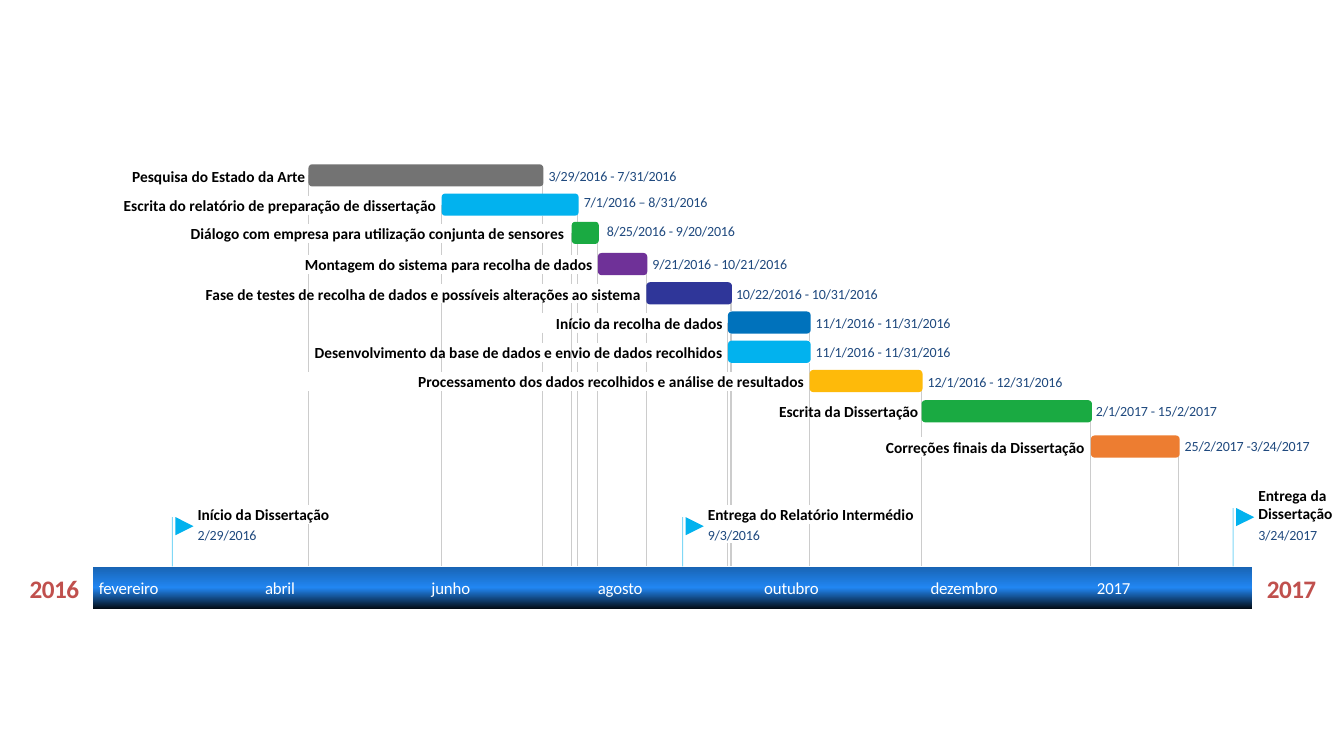
from collections import namedtuple

from lxml.etree import SubElement
from pptx import Presentation
from pptx.dml.color import RGBColor
from pptx.enum.shapes import MSO_CONNECTOR, MSO_SHAPE
from pptx.enum.text import MSO_ANCHOR, PP_ALIGN
from pptx.oxml.ns import qn
from pptx.util import Inches, Pt

BLACK, WHITE, GRAY = "000000", "FFFFFF", "CCCCCC"
NAVY, RED, CYAN = "1F497E", "C0504D", "02B2EE"
GREEN = "1AAA42"
BAR_HEIGHT, LABEL_HEIGHT, DATE_HEIGHT = 0.22, 0.19, 0.17
AXIS_TOP = 5.62

Task = namedtuple("Task", "label label_left label_right left top width color "
                          "dates dates_left dates_top crossed_by")
Milestone = namedtuple("Milestone", "label date left flag_top label_top width height")

# crossed_by lists the guides that run behind a label without a break
TASKS = [
    Task("Pesquisa do Estado da Arte", 1.31, 3.03, 3.06, 1.63, 2.33, "737373",
         "3/29/2016 - 7/31/2016", 5.44, 1.66, []),
    Task("Escrita do relatório de preparação de dissertação", 0.99, 4.33, 4.38, 1.92, 1.36, CYAN,
         "7/1/2016 – 8/31/2016", 5.79, 1.92, []),
    Task("Diálogo com empresa para utilização conjunta de sensores", 1.6, 5.6, 5.67, 2.2, 0.27, GREEN,
         "8/25/2016 - 9/20/2016", 6.02, 2.21, []),
    Task("Montagem do sistema para recolha de dados", 2.61, 5.88, 5.93, 2.51, 0.49, "6F3198",
         "9/21/2016 - 10/21/2016", 6.47, 2.53, []),
    Task("Fase de testes de recolha de dados e possíveis alterações ao sistema",
         1.74, 6.36, 6.41, 2.8, 0.85, "2F3699",
         "10/22/2016 - 10/31/2016", 7.3, 2.83, [3.06]),
    Task("Início da recolha de dados", 5.17, 7.17, 7.22, 3.09, 0.82, "0072BC",
         "11/1/2016 - 11/31/2016", 8.09, 3.12, [5.67]),
    Task("Desenvolvimento da base de dados e envio de dados recolhidos",
         2.99, 7.17, 7.22, 3.38, 0.82, CYAN,
         "11/1/2016 - 11/31/2016", 8.09, 3.41, [3.06, 4.38, 5.67]),
    Task("Processamento dos dados recolhidos e análise de resultados",
         3.05, 7.98, 8.03, 3.67, 1.12, "FEBA0A",
         "12/1/2016 - 12/31/2016", 9.2, 3.7, []),
    Task("Escrita da Dissertação", 7.72, 9.11, 9.14, 3.97, 1.69, GREEN,
         "2/1/2017 - 15/2/2017", 10.87, 3.99, [8.03]),
    Task("Correções finais da Dissertação", 8.79, 10.76, 10.82, 4.32, 0.88, "ED7D31",
         "25/2/2017 -3/24/2017", 11.75, 4.34, []),
]
MILESTONES = [
    Milestone("Início da Dissertação", "2/29/2016", 1.71, 5.13, 5.01, 1.31, 0.19),
    Milestone("Entrega do Relatório Intermédio", "9/3/2016", 6.77, 5.13, 5.01, 2.04, 0.19),
    Milestone("Entrega da Dissertação", "3/24/2017", 12.23, 5.04, 4.82, 0.74, 0.37),
]
MONTHS = ["fevereiro", "abril", "junho", "agosto", "outubro", "dezembro", "2017"]


def rgb(color):
    return RGBColor.from_string(color)


class Timeline:
    font = "Calibri"

    def __init__(self, page):
        self.page = page

    def line(self, x, top, bottom, color, opacity=100):
        line = self.page.shapes.add_connector(
            MSO_CONNECTOR.STRAIGHT, Inches(x), Inches(top), Inches(x), Inches(bottom))
        line.line.width = Pt(0.75)
        line.line.color.rgb = rgb(color)
        properties = line._element.spPr
        SubElement(properties, qn("a:effectLst"))
        if opacity < 100:
            tint = properties.find(".//" + qn("a:srgbClr"))
            SubElement(tint, qn("a:alpha")).set("val", str(opacity * 1000))

    def text(self, words, left, top, width, height, size, color,
             bold=False, align=PP_ALIGN.LEFT, spacing=0):
        box = self.page.shapes.add_textbox(
            Inches(left), Inches(top), Inches(width), Inches(height))
        frame = box.text_frame
        frame.margin_left = frame.margin_right = frame.margin_top = frame.margin_bottom = 0
        frame.word_wrap = True
        frame.vertical_anchor = MSO_ANCHOR.MIDDLE
        frame.text = words
        para = frame.paragraphs[0]
        para.alignment = align
        font = para.runs[0].font
        font.name, font.size, font.bold = self.font, Pt(size), bold
        font.color.rgb = rgb(color)
        if spacing:
            para.runs[0]._r.get_or_add_rPr().set("spc", str(spacing))

    def label(self, words, left, top, width, height=LABEL_HEIGHT, align=PP_ALIGN.LEFT):
        self.text(words, left, top, width, height, 11, BLACK, True, align)

    def date(self, words, left, top):
        self.text(words, left, top, 1.55, DATE_HEIGHT, 10, NAVY, spacing=-10)

    def shape(self, kind, left, top, width, height, color):
        shape = self.page.shapes.add_shape(
            kind, Inches(left), Inches(top), Inches(width), Inches(height))
        shape.shadow.inherit = False
        shape.fill.solid()
        shape.fill.fore_color.rgb = rgb(color)
        shape.line.fill.background()
        return shape

    def axis(self, left, top, width, height, stops):
        band = self.shape(MSO_SHAPE.RECTANGLE, left, top, width, height, WHITE)
        band.fill.gradient()
        band.fill.gradient_angle = 270
        stop_list = band._element.spPr.find(".//" + qn("a:gsLst"))
        for stop in list(stop_list):
            stop_list.remove(stop)
        for position, color in stops:
            stop = SubElement(stop_list, qn("a:gs"))
            stop.set("pos", str(position * 1000))
            SubElement(stop, qn("a:srgbClr")).set("val", color)

    def guide(self, x, top, obstacles):
        """Draw a guide down to the axis, broken at each obstacle below its start."""
        for left, right, upper, lower, crossed_by in sorted(obstacles, key=lambda item: item[2]):
            if left < x < right and upper > top - 0.03 and x not in crossed_by:
                if upper - top > 0.03:
                    self.line(x, top, upper, GRAY)
                top = lower
        self.line(x, top, AXIS_TOP, GRAY)


deck = Presentation()
deck.slide_width, deck.slide_height = Inches(13.33), Inches(7.5)
page = deck.slides.add_slide(deck.slide_layouts[6])
timeline = Timeline(page)

# Guides from both ends of every bar
guides, obstacles = {}, []
for task in TASKS:
    end = round(task.left + task.width - 0.01, 2)
    for x in (task.left, end):
        guides.setdefault(x, task.top + BAR_HEIGHT / 2)
    obstacles.append((task.left, task.left + task.width, task.top, task.top + BAR_HEIGHT, []))
    obstacles.append((task.label_left, task.label_right, task.top + 0.02,
                      task.top + 0.02 + LABEL_HEIGHT, task.crossed_by))
for event in MILESTONES:
    left = event.left + 0.25
    obstacles.append((left, left + event.width, event.label_top,
                      event.label_top + event.height, []))
    obstacles.append((left, left + 0.6, 5.22, 5.39, []))
for x, top in guides.items():
    timeline.guide(x, top, obstacles)
for event in MILESTONES:
    timeline.line(event.left, event.flag_top, AXIS_TOP, CYAN, 50)

# Axis with years and months
for year, left in (("2016", 0.28), ("2017", 12.55)):
    timeline.text(year, left, 5.68, 0.52, 0.31, 18, RED, True, PP_ALIGN.CENTER, -40)
timeline.axis(0.92, AXIS_TOP, 11.5, 0.42, [(0, "1863B2"), (50, "2186F2"), (100, "030C16")])
for index, month in enumerate(MONTHS):
    timeline.text(month, 0.98 + 1.65 * index, 5.73, 0.9, 0.2, 12, WHITE, spacing=-10)

# Milestones
for event in MILESTONES:
    left = event.left + 0.25
    timeline.label(event.label, left, event.label_top, event.width + 0.05, event.height)
    timeline.date(event.date, left, 5.22)
    flag = timeline.shape(MSO_SHAPE.FLOWCHART_MERGE, event.left + 0.03, event.flag_top,
                          0.18, 0.18, CYAN)
    flag.rotation = 270

# Tasks
for task in TASKS:
    timeline.shape(MSO_SHAPE.ROUNDED_RECTANGLE, task.left, task.top, task.width,
                   BAR_HEIGHT, task.color)
    timeline.label(task.label, task.label_left - 0.1, task.top + 0.02,
                   task.label_right - task.label_left + 0.1, align=PP_ALIGN.RIGHT)
    timeline.date(task.dates, task.dates_left, task.dates_top)

deck.save("out.pptx")
